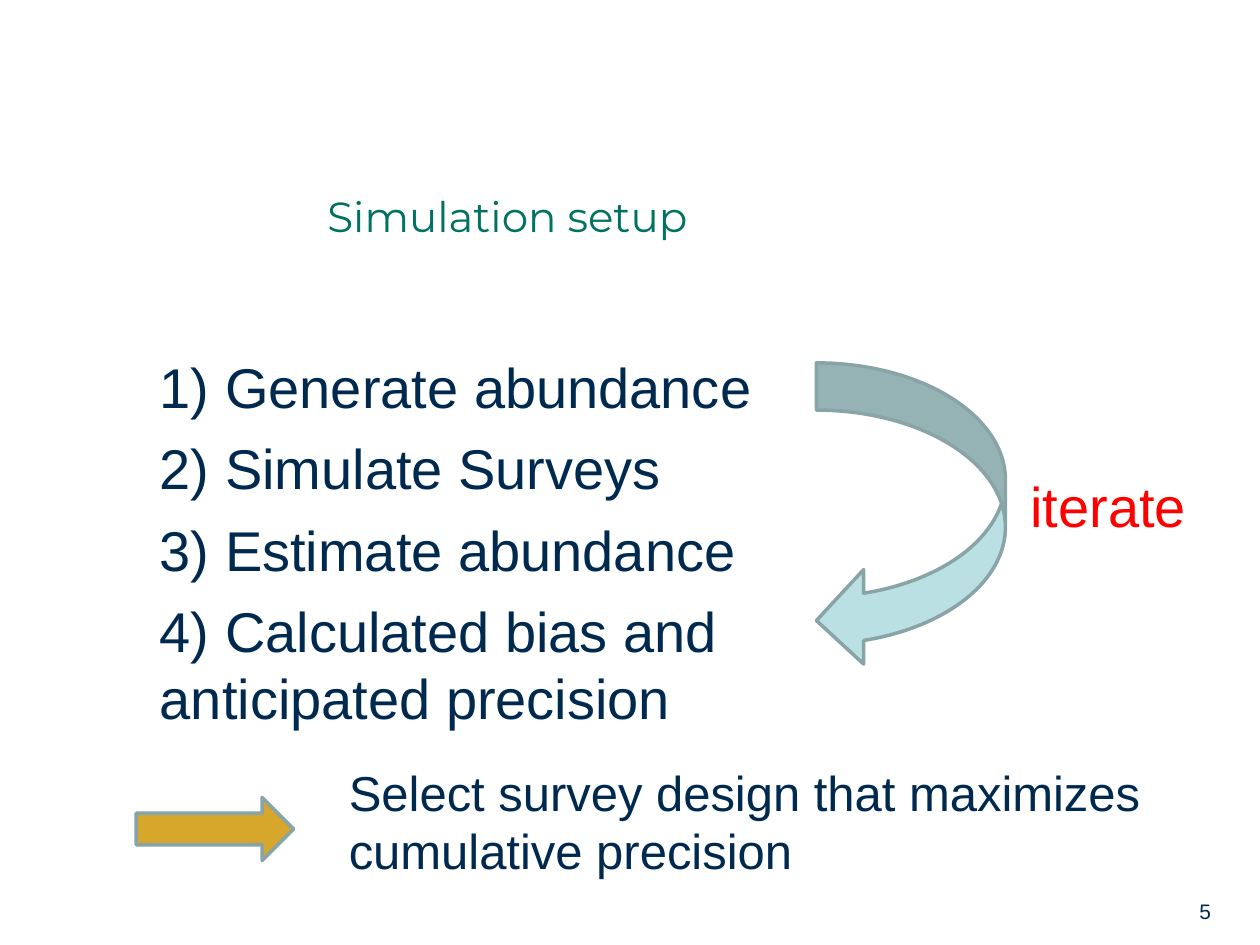
from pptx import Presentation, util as u
from pptx.dml.color import RGBColor
from pptx.enum import shapes, text

NAVY, GREEN, RED = "002950", "007262", "FF0000"
AQUA, GOLD, OUTLINE = "BBE0E3", "D6A72A", "89A4A7"


def colour(value):
    """Turn a hex string into a colour."""
    return RGBColor.from_string(value)


class Page:
    """The current slide and its style."""

    font = "Arial"
    line_width = 2

    def __init__(self, deck):
        """Add a blank slide to the deck."""
        self.slide = deck.slides.add_slide(deck.slide_layouts[6])

    def add_text(self, place, lines, size, ink=NAVY, font=None, before=0,
                 anchor=text.MSO_ANCHOR.TOP):
        """Add a wrapped text box with one paragraph per line."""
        box = self.slide.shapes.add_textbox(*map(u.Inches, place))
        frame = box.text_frame
        frame.word_wrap = True
        frame.vertical_anchor = anchor
        frame.text = "\n".join(lines)
        for para in frame.paragraphs:
            para.space_before = u.Pt(before)
            for span in para.runs:
                span.font.name = font or self.font
                span.font.size = u.Pt(size)
                span.font.color.rgb = colour(ink)

    def add_arrow(self, kind, place, fill):
        """Add an outlined block arrow."""
        shape = self.slide.shapes.add_shape(kind, *map(u.Inches, place))
        shape.shadow.inherit = False
        shape.fill.solid()
        shape.fill.fore_color.rgb = colour(fill)
        shape.line.color.rgb = colour(OUTLINE)
        shape.line.width = u.Pt(self.line_width)


deck = Presentation()
deck.slide_width, deck.slide_height = u.Inches(10), u.Inches(7.5)
page = Page(deck)

page.add_text((9.42, 7.08, 0.83, 0.3), ["5"], 12, before=7.5)
page.add_text((2.5, 1.25, 6.58, 0.92), ["Simulation setup"], 24, GREEN,
              font="Montserrat", anchor=text.MSO_ANCHOR.MIDDLE)

steps = ["Generate abundance", "Simulate Surveys", "Estimate abundance",
         "Calculated bias and anticipated precision"]
page.add_text((1.17, 2.75, 5.33, 3.17),
              [f"{number}) {step}" for number, step in enumerate(steps, 1)],
              32, before=8)

page.add_arrow(shapes.MSO_SHAPE.CURVED_LEFT_ARROW, (6.48, 2.88, 1.5, 2.42), AQUA)
page.add_text((8.08, 3.69, 2.17, 0.64), ["iterate"], 32, RED)

page.add_text((2.67, 6, 6.83, 1.04),
              ["Select survey design that maximizes cumulative precision"], 28)
page.add_arrow(shapes.MSO_SHAPE.RIGHT_ARROW, (1.08, 6.33, 1.25, 0.5), GOLD)

deck.save("out.pptx")
